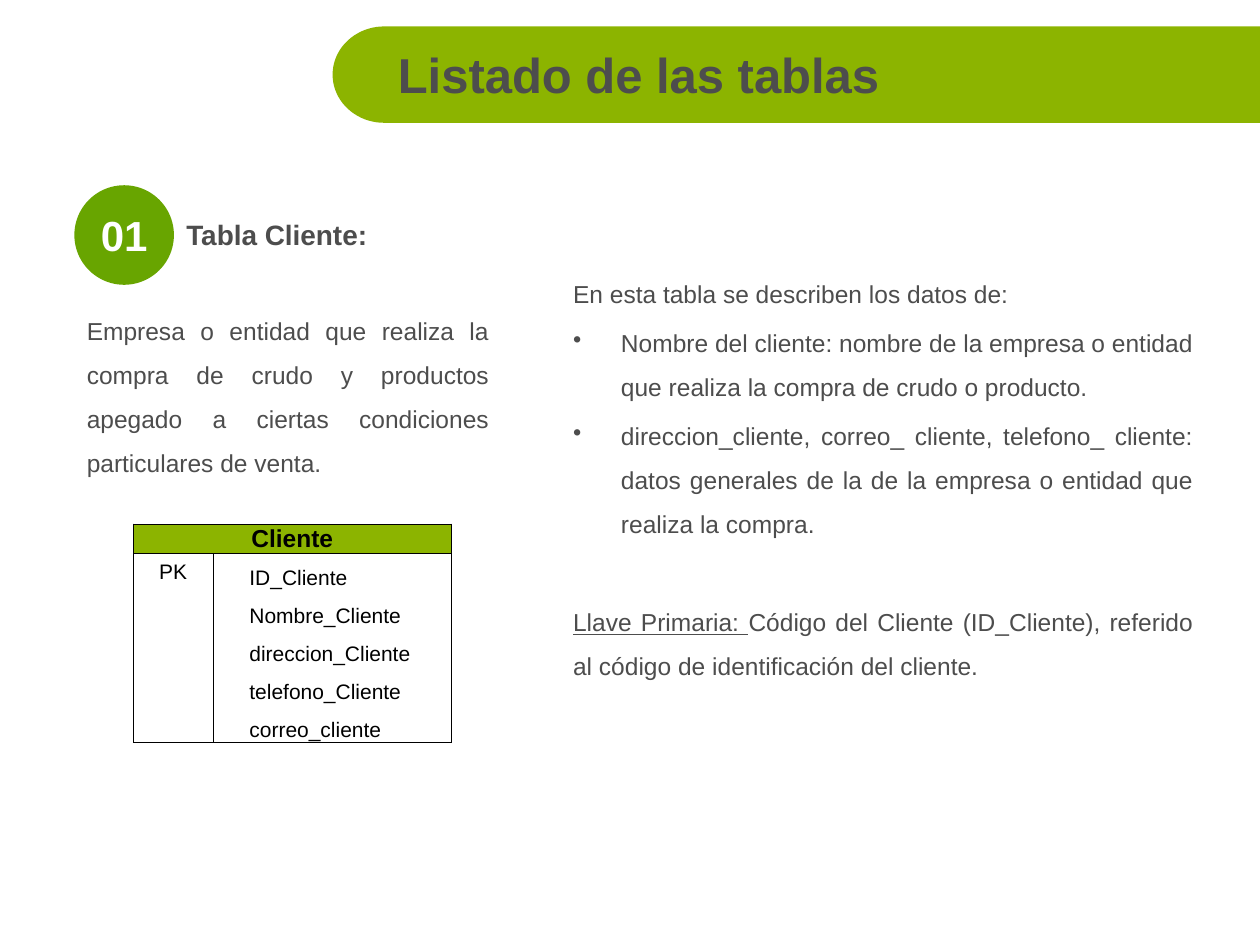
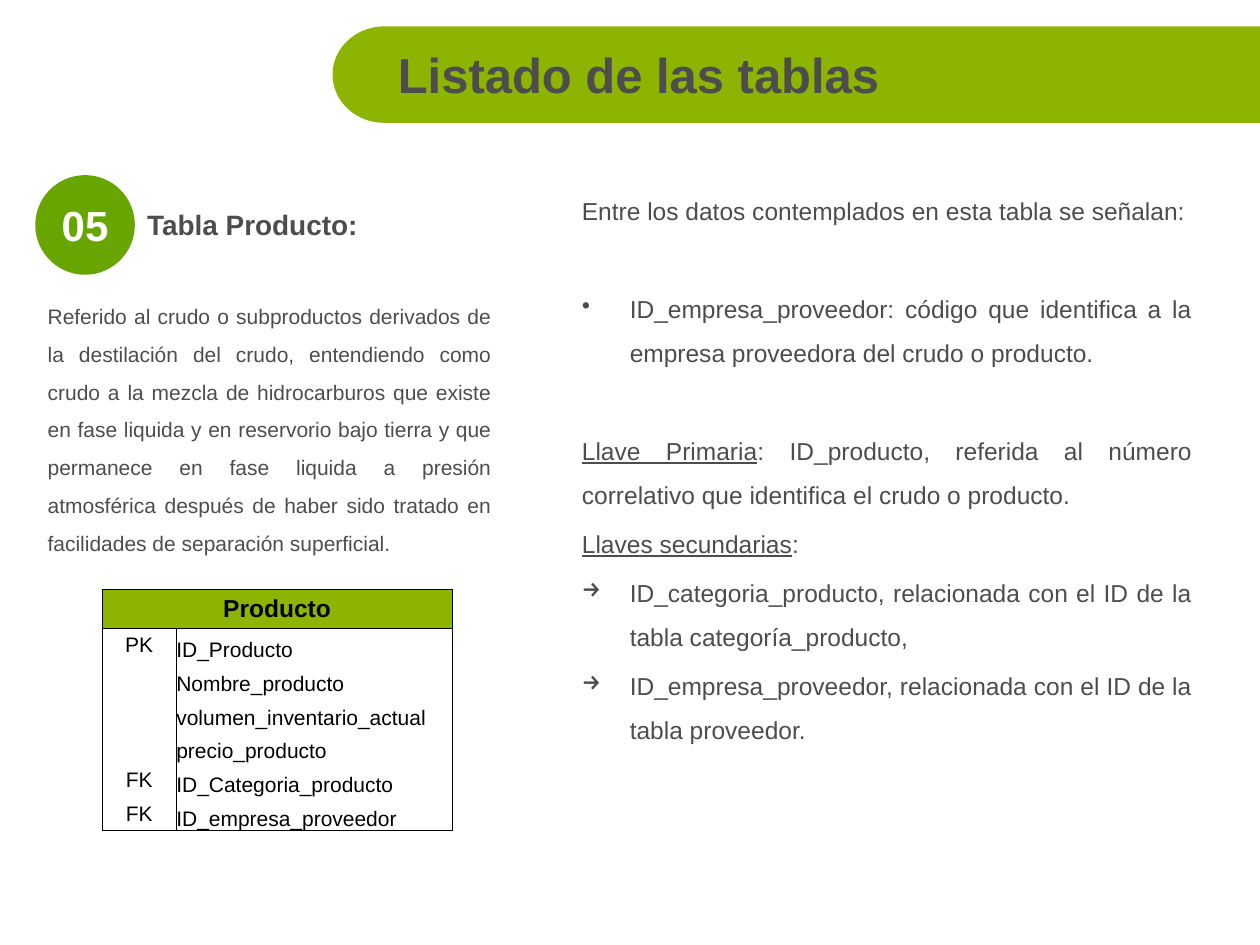
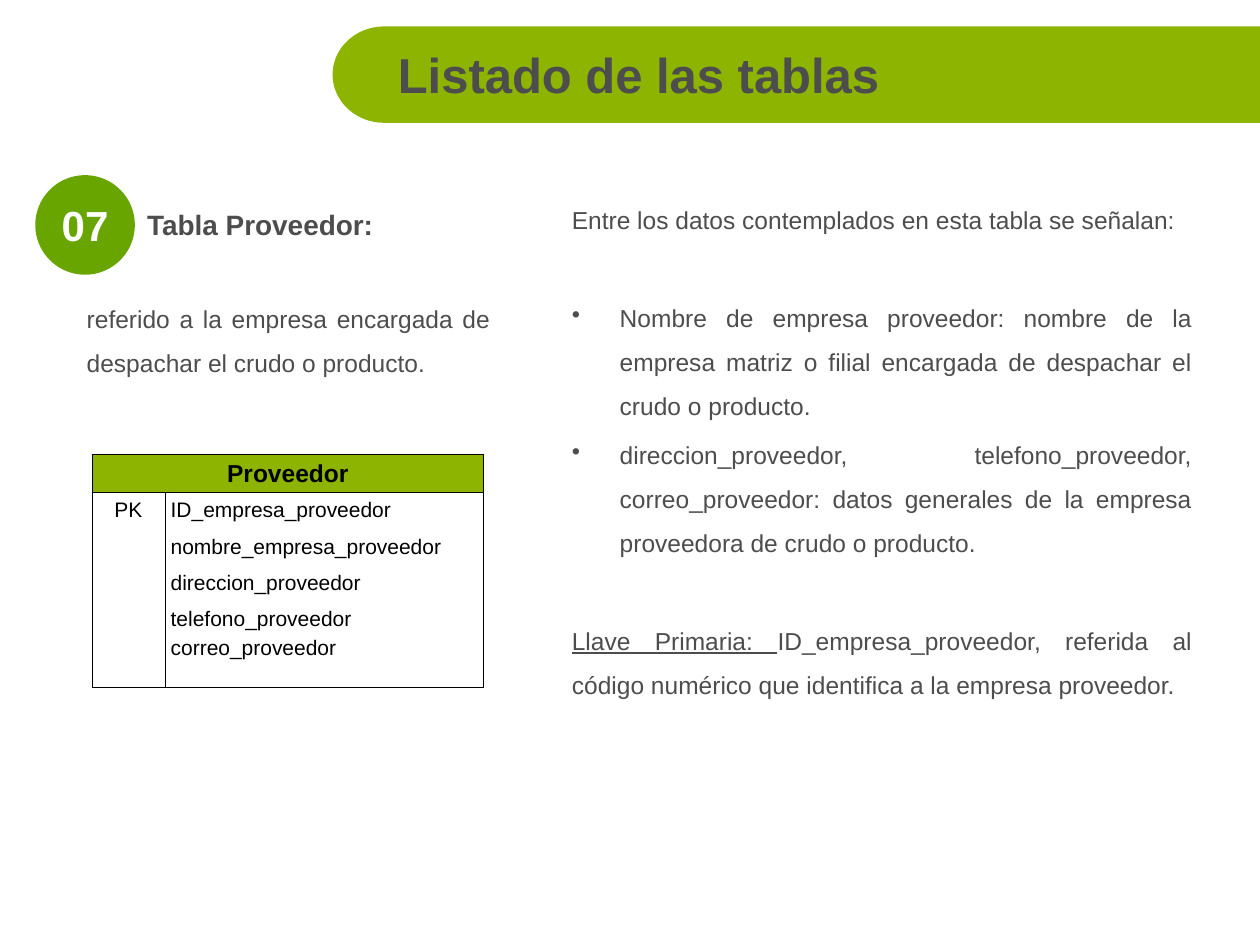
from math import cos, pi, sin

from lxml.etree import SubElement
from pptx import Presentation
from pptx.dml.color import RGBColor
from pptx.enum.shapes import MSO_SHAPE
from pptx.enum.text import MSO_ANCHOR, PP_ALIGN
from pptx.oxml.ns import qn
from pptx.util import Inches, Pt

COLS, ROWS = 100, 75
LIME, GREEN, GRAY = "8CB400", "68A500", "4D4D4D"
BLACK, WHITE = "000000", "FFFFFF"
FONT = "Arial"
NEAR, FAR = 2.8, 30.7


def hue(code):
    """Turn a hex string into a colour."""
    return RGBColor.from_string(code)


class Deck:
    """Hold the style, the grid and the current slide."""

    def __init__(self):
        """Start an empty deck of ten by seven and a half inches."""
        self.file = Presentation()
        self.file.slide_width, self.file.slide_height = Inches(10), Inches(7.5)
        self.col = self.file.slide_width / COLS
        self.row = self.file.slide_height / ROWS

    def grid(self, *spots):
        """Turn alternating columns and rows into lengths."""
        return [round(n * (self.row if i % 2 else self.col)) for i, n in enumerate(spots)]

    def page(self, title):
        """Add a slide with its title band."""
        self.slide = self.file.slides.add_slide(self.file.slide_layouts[6])
        self.shapes = self.slide.shapes
        self.band(26.4, 2.1, 4.1, 7.65)
        self.text([title], (30.6, 2.7, 69.4, 6.3), 28, bold=True, mid=True)

    def paint(self, shape, color):
        """Fill a shape flat, with no line or shadow."""
        shape.shadow.inherit = False
        shape.fill.solid()
        shape.fill.fore_color.rgb = hue(color)
        shape.line.fill.background()

    def band(self, left, top, bend, high):
        """Draw a band with a round left end that runs to the right edge."""
        half = high / 2
        turns = [pi / 2 + pi * i / 40 for i in range(41)]
        arc = [self.grid(left + bend + bend * cos(a), top + half + half * sin(a)) for a in turns]
        pen = self.shapes.build_freeform(*self.grid(COLS, top))
        pen.add_line_segments([self.grid(COLS, top + high), *arc], close=True)
        self.paint(pen.convert_to_shape(), LIME)

    def style(self, para, size, color, bold=False):
        """Format every run of a paragraph."""
        for run in para.runs:
            run.font.name, run.font.size, run.font.bold = FONT, Pt(size), bold
            run.font.color.rgb = hue(color)

    def text(self, lines, box, size, color=GRAY, bold=False, mid=False, align=PP_ALIGN.LEFT):
        """Add a text box with one paragraph a line."""
        frame = self.shapes.add_textbox(*self.grid(*box)).text_frame
        frame.word_wrap = True
        frame.vertical_anchor = MSO_ANCHOR.MIDDLE if mid else MSO_ANCHOR.TOP
        frame.text = "\n".join(lines)
        for para in frame.paragraphs:
            para.alignment = align
            self.style(para, size, color, bold)
        return frame.paragraphs

    def prose(self, items, box, size=14):
        """Add justified text from items of text, bullet, gap and underlined start."""
        paras = self.text([item[0] for item in items], box, size, align=PP_ALIGN.JUSTIFY)
        for i, (para, (line, mark, gap, key)) in enumerate(zip(paras, items)):
            para.line_spacing = 1.5
            if i:
                para.space_before = Pt(gap)
            if mark:
                props = para._p.get_or_add_pPr()
                props.set("marL", str(Inches(0.38)))
                props.set("indent", str(-Inches(0.38)))
                SubElement(props, qn("a:buChar"), char=mark)
            if key:
                para.text = key
                para.add_run().text = line[len(key):]
                self.style(para, size, GRAY)
                para.runs[0].font.underline = True

    def badge(self, num, label, left, top, wide):
        """Add a numbered disc and the heading beside it."""
        size = 7.9
        disc = self.shapes.add_shape(MSO_SHAPE.OVAL, *self.grid(left, top, size, size))
        self.paint(disc, GREEN)
        self.text([num], (left, top + 1.4, size, 5), 24, WHITE, True, True, PP_ALIGN.CENTER)
        self.text([label], (left + size, top + 2.05, wide, 3.7), 16, bold=True, mid=True)

    def edge(self, cell, sides):
        """Draw thin black lines on the named sides and none on the others."""
        props = cell._tc.get_or_add_tcPr()
        for side in "LRTB":
            line = SubElement(props, qn("a:ln" + side), w=str(Pt(0.5)))
            if side in sides:
                fill = SubElement(line, qn("a:solidFill"))
                SubElement(fill, qn("a:srgbClr"), val=BLACK)
            else:
                SubElement(line, qn("a:noFill"))

    def cell(self, cell, text, size, sides, color=None, bold=False, align=PP_ALIGN.CENTER):
        """Fill and format one table cell."""
        self.edge(cell, sides)
        cell.margin_left = cell.margin_right = cell.margin_top = cell.margin_bottom = 0
        cell.vertical_anchor = MSO_ANCHOR.MIDDLE
        if color:
            cell.fill.solid()
            cell.fill.fore_color.rgb = hue(color)
        else:
            cell.fill.background()
        cell.text_frame.text = text
        para = cell.text_frame.paragraphs[0]
        para.alignment = align
        self.style(para, size, BLACK, bold)
        if not text:
            SubElement(para._p, qn("a:endParaRPr"), sz=str(size * 100))

    def table(self, name, fields, spot, wide, high, pad=0, space=1.0, anchor=MSO_ANCHOR.MIDDLE):
        """Add a table of keys and fields under a merged head."""
        size = len(fields) + 1
        box = self.grid(*spot, sum(wide), sum(high))
        grid = self.shapes.add_table(size, 2, *box).table
        grid.first_row = grid.horz_banding = False
        for col, n in zip(grid.columns, wide):
            col.width = round(n * self.col)
        for row, n in zip(grid.rows, high):
            row.height = round(n * self.row)
        grid.cell(0, 0).merge(grid.cell(0, 1))
        self.cell(grid.cell(0, 0), name, 14, "LRTB", LIME, True)
        self.edge(grid.cell(0, 1), "LRTB")
        for i, (key, field) in enumerate(fields, 1):
            sides = "LR" + "T" * (i == 1) + "B" * (i == size - 1)
            self.cell(grid.cell(i, 0), key, 12, sides)
            cell = grid.cell(i, 1)
            self.cell(cell, field, 12, sides, align=PP_ALIGN.LEFT)
            cell.margin_left = round(pad * self.col)
            cell.vertical_anchor = anchor
            cell.text_frame.paragraphs[0].line_spacing = space
        return grid


def item(line, mark="", gap=NEAR, key=""):
    """Describe one paragraph of prose."""
    return line, mark, gap, key


def client(deck):
    """Build the slide of the client table."""
    deck.badge("01", "Tabla Cliente:", 5.9, 14.7, 18.9)
    deck.prose([item("Empresa o entidad que realiza la compra de crudo y productos apegado a "
                     "ciertas condiciones particulares de venta.")], (5.9, 23.4, 33.9, 17.3))
    deck.prose([
        item("En esta tabla se describen los datos de:"),
        item("Nombre del cliente: nombre de la empresa o entidad que realiza la compra de "
             "crudo o producto.", "•"),
        item("direccion_cliente, correo_ cliente, telefono_ cliente: datos generales de la "
             "de la empresa o entidad que realiza la compra.", "•"),
        item("Llave Primaria: Código del Cliente (ID_Cliente), referido al código de "
             "identificación del cliente.", gap=FAR, key="Llave Primaria: "),
    ], (44.5, 20.5, 51.2, 34.6))
    fields = [("PK", "ID_Cliente"), ("", "Nombre_Cliente"), ("", "direccion_Cliente"),
              ("", "telefono_Cliente"), ("", "correo_cliente")]
    deck.table("Cliente", fields, (10.6, 41.6), (6.3, 18.9), [2.3] + [3] * 5, 2.9, 1.5)


def product(deck):
    """Build the slide of the product table."""
    deck.badge("05", "Tabla Producto:", 2.8, 13.9, 30.7)
    deck.prose([item("Referido al crudo o subproductos derivados de la destilación del crudo, "
                     "entendiendo como crudo a la mezcla de hidrocarburos que existe en fase "
                     "liquida y en reservorio bajo tierra y que permanece en fase liquida a "
                     "presión atmosférica después de haber sido tratado en facilidades de "
                     "separación superficial.")], (2.8, 22.6, 37.2, 11), 12)
    deck.prose([
        item("Entre los datos contemplados en esta tabla se señalan:"),
        item("ID_empresa_proveedor: código que identifica a la empresa proveedora del crudo "
             "o producto.", "•", FAR),
        item("Llave Primaria: ID_producto, referida al número correlativo que identifica el "
             "crudo o producto.", gap=FAR, key="Llave Primaria"),
        item("Llaves secundarias:", key="Llaves secundarias"),
        item("ID_categoria_producto, relacionada con el ID de la tabla categoría_producto,", "→"),
        item("ID_empresa_proveedor, relacionada con el ID de la tabla proveedor.", "→"),
    ], (45.2, 13.9, 50.4, 33.6))
    fields = [("PK", "ID_Producto"), ("", "Nombre_producto"), ("", "volumen_inventario_actual"),
              ("", "precio_producto"), ("FK", "ID_Categoria_producto"),
              ("FK", "ID_empresa_proveedor")]
    deck.table("Producto", fields, (8.1, 46.8), (5.9, 21.9), [3.1] + [2.67] * 6,
               anchor=MSO_ANCHOR.BOTTOM)


def vendor(deck):
    """Build the slide of the supplier table."""
    deck.badge("07", "Tabla Proveedor:", 2.8, 13.9, 30.7)
    deck.prose([item("referido a la empresa encargada de despachar el crudo o producto.")],
               (5.9, 22.5, 34, 11))
    deck.prose([
        item("Entre los datos contemplados en esta tabla se señalan:"),
        item("Nombre de empresa proveedor: nombre de la empresa matriz o filial encargada de "
             "despachar el crudo o producto.", "•", FAR),
        item("direccion_proveedor, telefono_proveedor, correo_proveedor: datos generales de "
             "la empresa proveedora de crudo o producto.", "•"),
        item("Llave Primaria: ID_empresa_proveedor, referida al código numérico que "
             "identifica a la empresa proveedor.", gap=FAR, key="Llave Primaria: "),
    ], (44.4, 14.6, 51.2, 48))
    fields = [("PK", "ID_empresa_proveedor"), ("", "nombre_empresa_proveedor"),
              ("", "direccion_proveedor"), ("", "telefono_proveedor"), ("", "correo_proveedor")]
    grid = deck.table("Proveedor", fields, (7.3, 36.1), (5.8, 25.3),
                      [3] + [2.86] * 4 + [4.05], 0.45)
    grid.cell(5, 1).vertical_anchor = MSO_ANCHOR.TOP


def main():
    """Build and save the deck."""
    deck = Deck()
    for build in (client, product, vendor):
        deck.page("Listado de las tablas")
        build(deck)
    deck.file.save("out.pptx")


if __name__ == "__main__":
    main()
